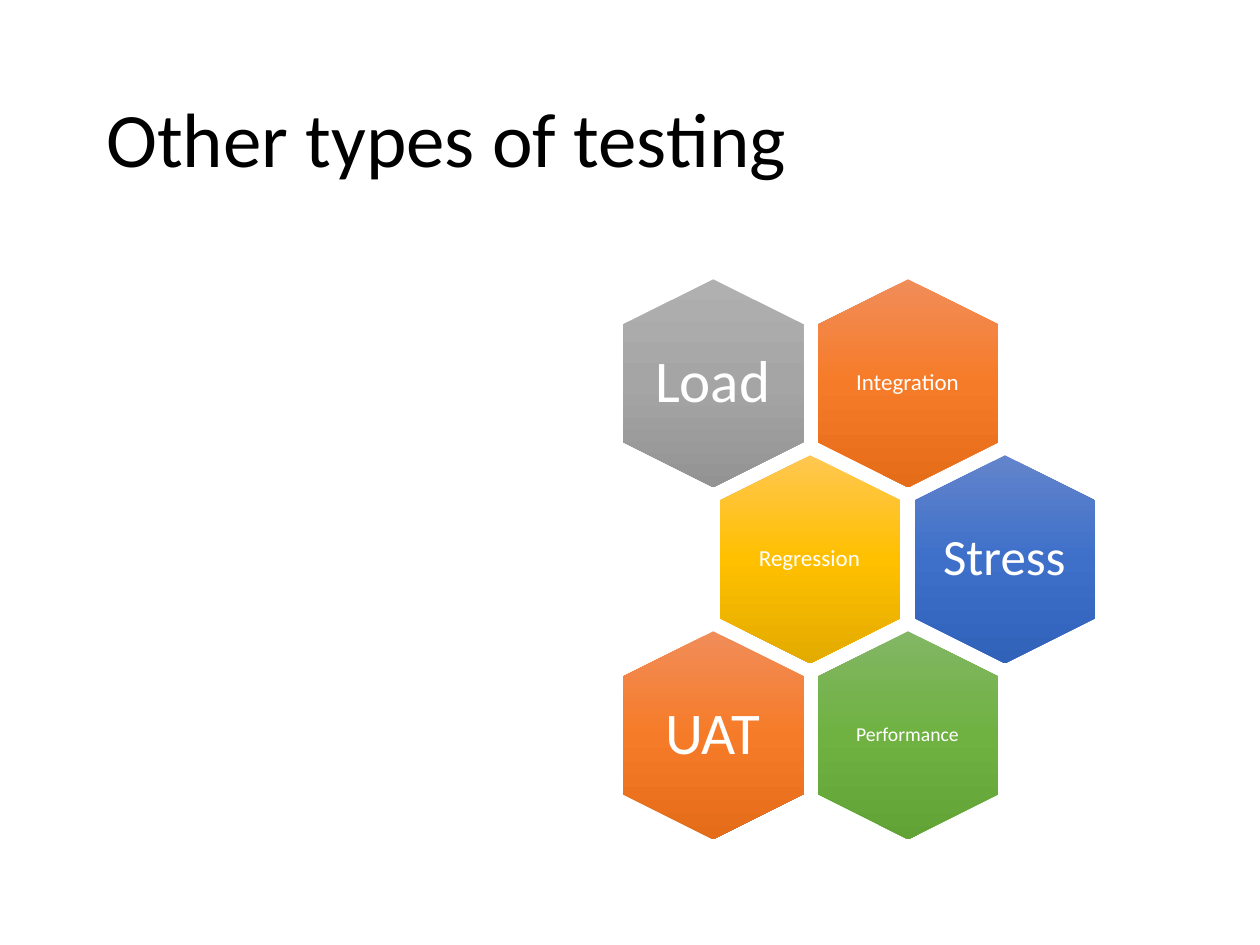
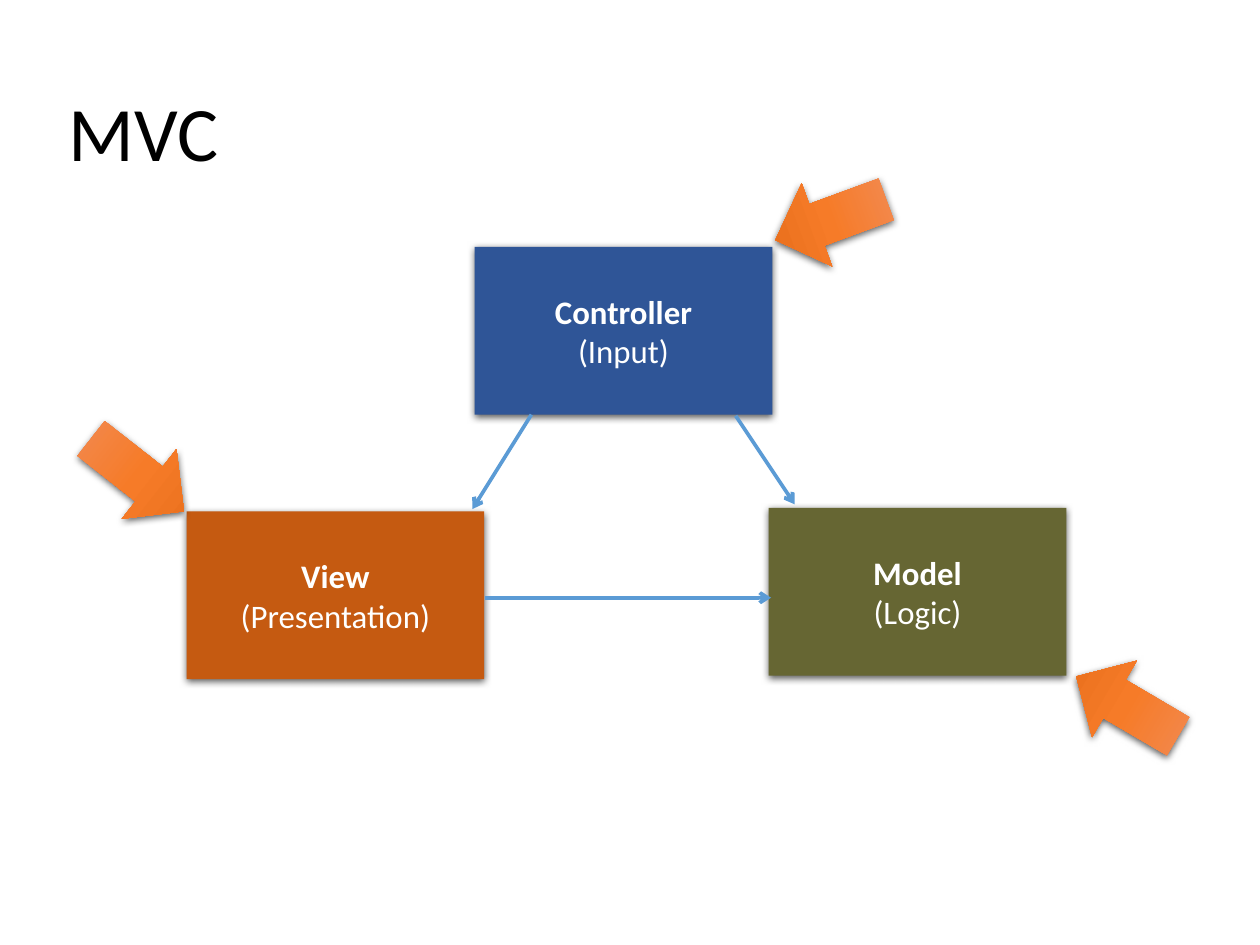
"""Build two slides: a honeycomb of testing types and the MVC diagram."""
from typing import NamedTuple

from lxml import etree
from pptx import Presentation
from pptx.dml.color import RGBColor
from pptx.enum.shapes import MSO_CONNECTOR, MSO_SHAPE
from pptx.enum.text import MSO_ANCHOR, MSO_AUTO_SIZE, PP_ALIGN
from pptx.oxml.ns import qn
from pptx.util import Emu, Pt

HEXAGON, RECTANGLE = MSO_SHAPE.HEXAGON, MSO_SHAPE.RECTANGLE
DOWN_ARROW = MSO_SHAPE.DOWN_ARROW
STRAIGHT = MSO_CONNECTOR.STRAIGHT
MIDDLE, NO_FIT = MSO_ANCHOR.MIDDLE, MSO_AUTO_SIZE.NONE
LEFT, CENTER = PP_ALIGN.LEFT, PP_ALIGN.CENTER

EMU_PER_PX = 9144
SLIDE_WIDTH, SLIDE_HEIGHT = 1067, 800
TITLE_ONLY = 5
FONT = "Calibri"
TITLE_SIZE = 46.9
ROLE_SIZE = 20

COLORS = {
    "title": "000000",
    "label": "FFFFFF",
    "shadow": "000000",
    "link": "5B9BD5",
    "controller": "2F5597",
    "model": "666633",
    "view": "C55A11",
}
GRADIENTS = {
    "orange": ("F18D59", "F67B28", "E56C19"),
    "gray": ("B0B0B0", "A5A5A5", "939393"),
    "gold": ("FFC752", "FFC000", "E3AB00"),
    "blue": ("6384CB", "3E70CA", "3162BA"),
    "green": ("82B664", "6FB242", "62A336"),
}

COMB_LEFT, COMB_TOP = 516, 248
COLUMN_STEP, ROW_STEP, ODD_ROW_SHIFT = 165, 149, 82
CELL_WIDTH, CELL_HEIGHT = 176, 153
LABEL_DX, LABEL_DY, LABEL_WIDTH, LABEL_HEIGHT = 35, 16, 105, 121
ROLE_WIDTH, ROLE_HEIGHT = 252, 142
POINTER_WIDTH, POINTER_HEIGHT = 75, 100


class Cell(NamedTuple):
    """A testing type in the honeycomb."""
    label: str
    column: int
    row: int
    gradient: str
    size: int
    inset: int


class Role(NamedTuple):
    """A component of MVC."""
    name: str
    duty: str
    left: int
    top: int
    color: str


class Link(NamedTuple):
    """An arrow from one component to another."""
    x1: int
    y1: int
    x2: int
    y2: int


class Pointer(NamedTuple):
    """A block arrow pointing at a component."""
    left: int
    top: int
    rotation: float


CELLS = (
    Cell("Integration", 1, 0, "orange", 14, 6),
    Cell("Load", 0, 0, "gray", 36, 0),
    Cell("Regression", 0, 1, "gold", 14, 6),
    Cell("Stress", 1, 1, "blue", 31, 0),
    Cell("Performance", 1, 2, "green", 12, 5),
    Cell("UAT", 0, 2, "orange", 36, 0),
)
ROLES = (
    Role("Controller", "(Input)", 402, 209, "controller"),
    Role("Model", "(Logic)", 651, 430, "model"),
    Role("View", "(Presentation)", 158, 433, "view"),
)
LINKS = (
    Link(623, 352, 673, 427),
    Link(450, 351, 400, 431),
    Link(411, 506, 653, 506),
)
POINTERS = (
    Pointer(666, 136, 69.8),
    Pointer(917, 548, 120.4),
    Pointer(79, 352, 308.1),
)


def px(*lengths: int) -> list[Emu]:
    """Turn pixel lengths into EMU."""
    return [Emu(length * EMU_PER_PX) for length in lengths]


def add_run(paragraph, text: str, size: float, color: str, bold: bool = False) -> None:
    """Add one formatted run to a paragraph."""
    run = paragraph.add_run()
    run.text = text
    run.font.name = FONT
    run.font.size = Pt(size)
    run.font.bold = bold
    run.font.color.rgb = RGBColor.from_string(COLORS[color])


def format_frame(frame, inset_x: int, inset_y: int) -> None:
    """Set wrapping, middle anchor and insets."""
    frame.word_wrap = True
    frame.auto_size = NO_FIT
    frame.vertical_anchor = MIDDLE
    frame.margin_left, frame.margin_right = px(inset_x, inset_x)
    frame.margin_top, frame.margin_bottom = px(inset_y, inset_y)


def add_titled_slide(deck, text: str, box: tuple[int, int, int, int], spacing: float):
    """Add a title-only slide with its title placed in the box."""
    slide = deck.slides.add_slide(deck.slide_layouts[TITLE_ONLY])
    title = slide.shapes.title
    title.left, title.top, title.width, title.height = px(*box)
    format_frame(title.text_frame, 10, 5)
    paragraph = title.text_frame.paragraphs[0]
    paragraph.alignment = LEFT
    paragraph.line_spacing = spacing
    add_run(paragraph, text, TITLE_SIZE, "title")
    return slide


def add_plain_shape(shapes, preset, *box: int):
    """Add a preset shape without outline or shadow."""
    shape = shapes.add_shape(preset, *px(*box))
    shape.shadow.inherit = False
    shape.line.fill.background()
    return shape


def fill_gradient(shape, gradient: str, turns_with_shape: bool) -> None:
    """Fill a shape from top to bottom with three stops."""
    shape.fill.gradient()
    shape.fill.gradient_angle = 270
    grad_fill = shape.element.spPr.find(qn("a:gradFill"))
    grad_fill.set("rotWithShape", str(int(turns_with_shape)))
    stops = grad_fill.find(qn("a:gsLst"))
    for stop in list(stops):
        stops.remove(stop)
    for position, color in zip((0, 50000, 100000), GRADIENTS[gradient]):
        stop = etree.SubElement(stops, qn("a:gs"), pos=str(position))
        etree.SubElement(stop, qn("a:srgbClr"), val=color)


def cast_shadow(shape) -> None:
    """Give a shape a soft shadow straight below."""
    effects = shape.element.spPr.find(qn("a:effectLst"))
    shadow = etree.SubElement(
        effects, qn("a:outerShdw"), blurRad=str(Pt(4.5)), dist=str(Pt(1.5)),
        dir="5400000", rotWithShape="0")
    color = etree.SubElement(shadow, qn("a:srgbClr"), val=COLORS["shadow"])
    etree.SubElement(color, qn("a:alpha"), val="63000")


def draw_cell(shapes, cell: Cell) -> None:
    """Draw a hexagon and its label."""
    left = COMB_LEFT + cell.column * COLUMN_STEP + cell.row % 2 * ODD_ROW_SHIFT
    top = COMB_TOP + cell.row * ROW_STEP
    hexagon = add_plain_shape(shapes, HEXAGON, left, top, CELL_WIDTH, CELL_HEIGHT)
    hexagon.rotation = 90
    hexagon.adjustments[0] = 0.25
    fill_gradient(hexagon, cell.gradient, False)
    label = shapes.add_textbox(
        *px(left + LABEL_DX, top + LABEL_DY, LABEL_WIDTH, LABEL_HEIGHT))
    format_frame(label.text_frame, cell.inset, cell.inset)
    paragraph = label.text_frame.paragraphs[0]
    paragraph.alignment = CENTER
    paragraph.line_spacing = 0.9
    add_run(paragraph, cell.label, cell.size, "label")


def draw_role(shapes, role: Role) -> None:
    """Draw a component box with its name and duty."""
    box = add_plain_shape(
        shapes, RECTANGLE, role.left, role.top, ROLE_WIDTH, ROLE_HEIGHT)
    box.fill.solid()
    box.fill.fore_color.rgb = RGBColor.from_string(COLORS[role.color])
    cast_shadow(box)
    frame = box.text_frame
    format_frame(frame, 10, 5)
    add_run(frame.paragraphs[0], role.name, ROLE_SIZE, "label", True)
    add_run(frame.add_paragraph(), role.duty, ROLE_SIZE, "label")
    for paragraph in frame.paragraphs:
        paragraph.alignment = CENTER


def draw_link(shapes, link: Link) -> None:
    """Draw an arrow between components."""
    arrow = shapes.add_connector(STRAIGHT, *px(*link))
    arrow.line.width = Pt(2.25)
    arrow.line.color.rgb = RGBColor.from_string(COLORS["link"])
    properties = arrow.element.spPr
    etree.SubElement(properties.find(qn("a:ln")), qn("a:tailEnd"), type="arrow")
    etree.SubElement(properties, qn("a:effectLst"))


def draw_pointer(shapes, pointer: Pointer) -> None:
    """Draw a rotated block arrow."""
    arrow = add_plain_shape(
        shapes, DOWN_ARROW, pointer.left, pointer.top, POINTER_WIDTH, POINTER_HEIGHT)
    arrow.rotation = pointer.rotation
    fill_gradient(arrow, "orange", True)
    cast_shadow(arrow)


def main() -> None:
    """Build and save the deck."""
    deck = Presentation()
    deck.slide_width, deck.slide_height = px(SLIDE_WIDTH, SLIDE_HEIGHT)

    testing = add_titled_slide(
        deck, "Other types of testing", (80, 43, 907, 155), 0.9)
    honeycomb = testing.shapes.add_group_shape()
    for cell in CELLS:
        draw_cell(honeycomb.shapes, cell)

    mvc = add_titled_slide(deck, "MVC", (48, 65, 958, 92), 1.0)
    for role in ROLES:
        draw_role(mvc.shapes, role)
    for link in LINKS:
        draw_link(mvc.shapes, link)
    for pointer in POINTERS:
        draw_pointer(mvc.shapes, pointer)

    deck.save("out.pptx")


if __name__ == "__main__":
    main()
